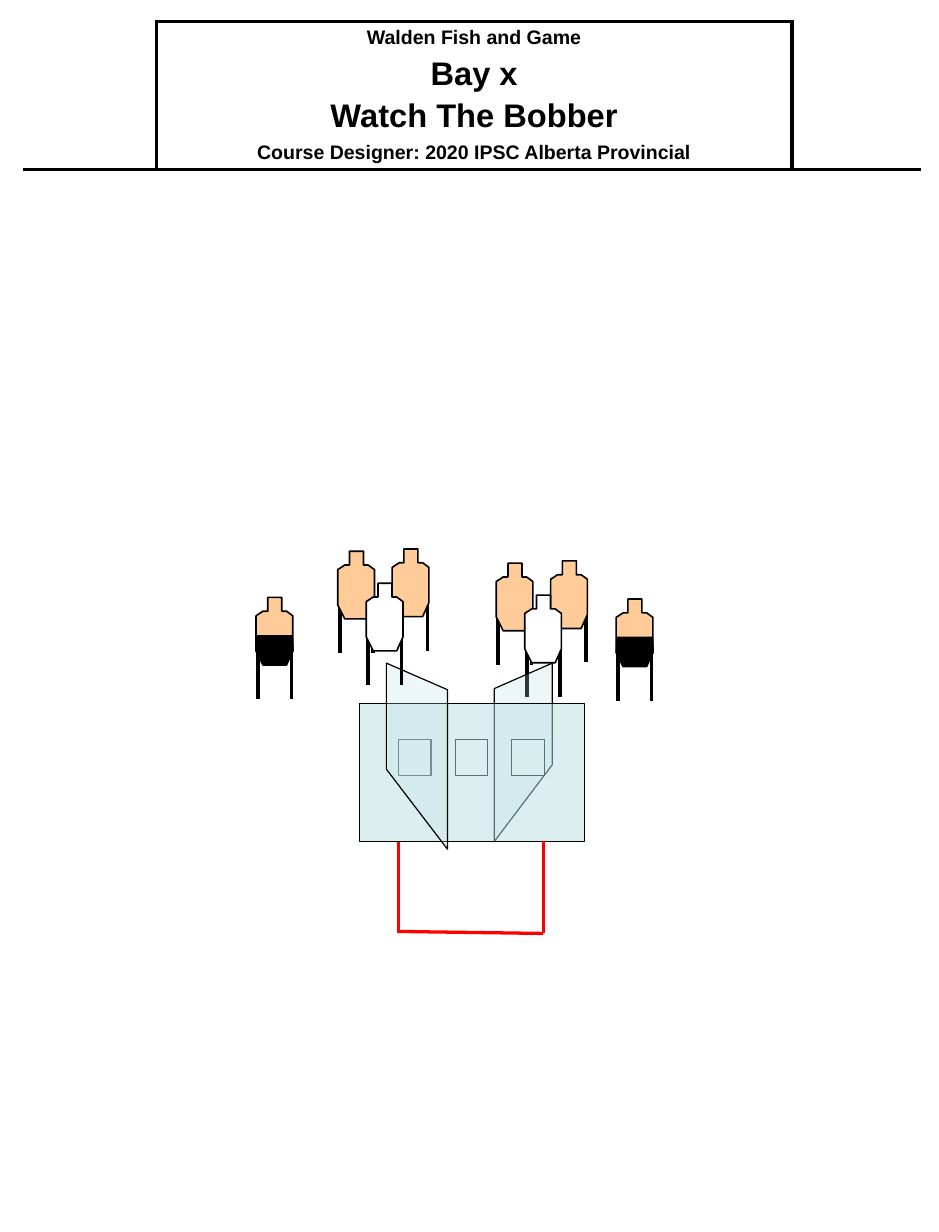
from lxml.etree import SubElement
from pptx import Presentation
from pptx.dml.color import RGBColor
from pptx.enum.shapes import MSO_CONNECTOR, MSO_SHAPE
from pptx.enum.text import MSO_ANCHOR, PP_ALIGN
from pptx.oxml.ns import qn
from pptx.util import Pt

BLACK = RGBColor(0, 0, 0)
WHITE = RGBColor(255, 255, 255)
TAN = RGBColor(0xFF, 0xCC, 0x99)
GLASS = RGBColor(0xBB, 0xE0, 0xE3)
RED = RGBColor(255, 0, 0)

TARGET = [(7.2, 0), (15.8, 0), (15.8, 8.5), (18.7, 8.5), (22.5, 11.3), (22.5, 33),
          (18.7, 41.5), (4.3, 41.5), (0, 33), (0, 11.3), (4.3, 8.5), (7.2, 8.5)]
HARD_COVER = [(0.3, 23.5), (22.4, 23.5), (22.8, 32.7), (18.3, 41.2),
              (4.3, 41.2), (0, 33), (0.3, 23.5)]


def style(sp, fill, width, alpha=None):
    sp.shadow.inherit = False
    sp.fill.solid()
    sp.fill.fore_color.rgb = fill
    sp.line.color.rgb = BLACK
    sp.line.width = Pt(width)
    if alpha:
        color = sp.fill._xPr.find(qn("a:solidFill")).find(qn("a:srgbClr"))
        SubElement(color, qn("a:alpha")).set("val", str(alpha * 1000))


def outline(shapes, x, y, points, fill, width, alpha=None):
    pts = [(Pt(x + dx), Pt(y + dy)) for dx, dy in points]
    builder = shapes.build_freeform(*pts[0])
    builder.add_line_segments(pts[1:], close=True)
    style(builder.convert_to_shape(), fill, width, alpha)


def line(shapes, x1, y1, x2, y2, color, width):
    s = shapes.add_connector(MSO_CONNECTOR.STRAIGHT, Pt(x1), Pt(y1), Pt(x2), Pt(y2))
    s.line.color.rgb = color
    s.line.width = Pt(width)
    SubElement(s._element.spPr, qn("a:effectLst"))


def add_text(p, text, size=12, before=0, bold=True, color=BLACK, align=PP_ALIGN.CENTER):
    p.alignment = align
    p.space_before = Pt(before)
    r = p.add_run()
    r.text = text
    r.font.name = "Arial"
    r.font.size = Pt(size)
    r.font.bold = bold
    r.font.color.rgb = color


def border(cell, sides):
    tc_pr = cell._tc.get_or_add_tcPr()
    for side in "LRTB":
        ln = SubElement(tc_pr, qn("a:ln" + side), w=str(Pt(2.25)))
        if side in sides:
            fill = SubElement(ln, qn("a:solidFill"))
            SubElement(fill, qn("a:srgbClr"), val=str(BLACK))
        else:
            SubElement(ln, qn("a:noFill"))


def header(slide, x, y, w, h):
    table = slide.shapes.add_table(1, 3, Pt(x), Pt(y), Pt(w), Pt(h)).table
    table.first_row = table.horz_banding = False
    for col, width in zip(table.columns, (82, 390, w - 472)):
        col.width = Pt(width)
    for cell, sides in zip(table.rows[0].cells, ("RB", "LRTB", "LB")):
        border(cell, sides)
        cell.fill.solid()
        cell.fill.fore_color.rgb = WHITE
    cell = table.cell(0, 1)
    cell.vertical_anchor = MSO_ANCHOR.MIDDLE
    cell.margin_left = cell.margin_right = cell.margin_top = cell.margin_bottom = Pt(3.6)
    tf = cell.text_frame
    rows = [("Walden Fish and Game", 12, 0), ("Bay x", 20, 4), ("Watch The Bobber", 20, 4),
            ("Course Designer: 2020 IPSC Alberta Provincial", 12, 4.2)]
    for i, (text, size, before) in enumerate(rows):
        add_text(tf.add_paragraph() if i else tf.paragraphs[0], text, size=size, before=before)


def target(slide, x, y, fill=TAN, covered=False):
    shapes = slide.shapes.add_group_shape().shapes
    for leg in (1.2, 21.7):
        line(shapes, x + leg, y + 30.8, x + leg, y + 62.3, BLACK, 2.25)
    outline(shapes, x, y, TARGET, fill, 1)
    if covered:
        outline(shapes, x, y, HARD_COVER, BLACK, 0.75)


def cluster(slide, x, y):
    # Two scoring targets behind a no-shoot
    target(slide, x + 33.4, y)
    target(slide, x, y + 1.4)
    target(slide, x + 17.5, y + 21, fill=WHITE)


def side_panel(slide, x, y, w, h, inner_right):
    near, far = (w, 0) if inner_right else (0, w)
    points = [(far, 0.57 * h), (near, h), (near, 0.143 * h), (far, 0)]
    outline(slide.shapes, x, y, points, GLASS, 0.75, alpha=25)


def booth(slide, x, y, w, h):
    # Three ports seen through the front wall
    shapes = slide.shapes.add_group_shape().shapes
    boxes = [(x + 24.3 + 34.7 * i, y + 22.2, 19.8, 22.2, WHITE) for i in range(3)]
    for bx, by, bw, bh, fill in boxes + [(x, y, w, h, GLASS)]:
        sp = shapes.add_shape(MSO_SHAPE.RECTANGLE, Pt(bx), Pt(by), Pt(bw), Pt(bh))
        style(sp, fill, 0.75, alpha=50)


def main():
    prs = Presentation()
    prs.slide_width, prs.slide_height = Pt(576), Pt(756)
    slide = prs.slides.add_slide(prs.slide_layouts[6])

    # Right targets and panel
    cluster(slide, 304.4, 344.2)
    side_panel(slide, 303.2, 406.9, 35.6, 109.5, inner_right=False)

    header(slide, 13.9, 13, 551, 90.7)

    # Shooting area and booth
    left, right, top, bottom = 244.5, 333.3, 516.2, 572.8
    line(slide.shapes, left, top, left, bottom, RED, 2)
    line(slide.shapes, right, bottom, left, bottom - 1.2, RED, 2)
    booth(slide, 220.3, 431.7, 138.2, 84.7)

    # Left panel and targets
    side_panel(slide, 237, 406.9, 37.5, 114.2, inner_right=True)
    cluster(slide, 207.2, 336.9)

    # Outer targets with hard cover
    target(slide, 378, 367.6, covered=True)
    target(slide, 157.1, 366.6, covered=True)
    line(slide.shapes, right, top, right, bottom, RED, 2)

    prs.save("out.pptx")


if __name__ == "__main__":
    main()
